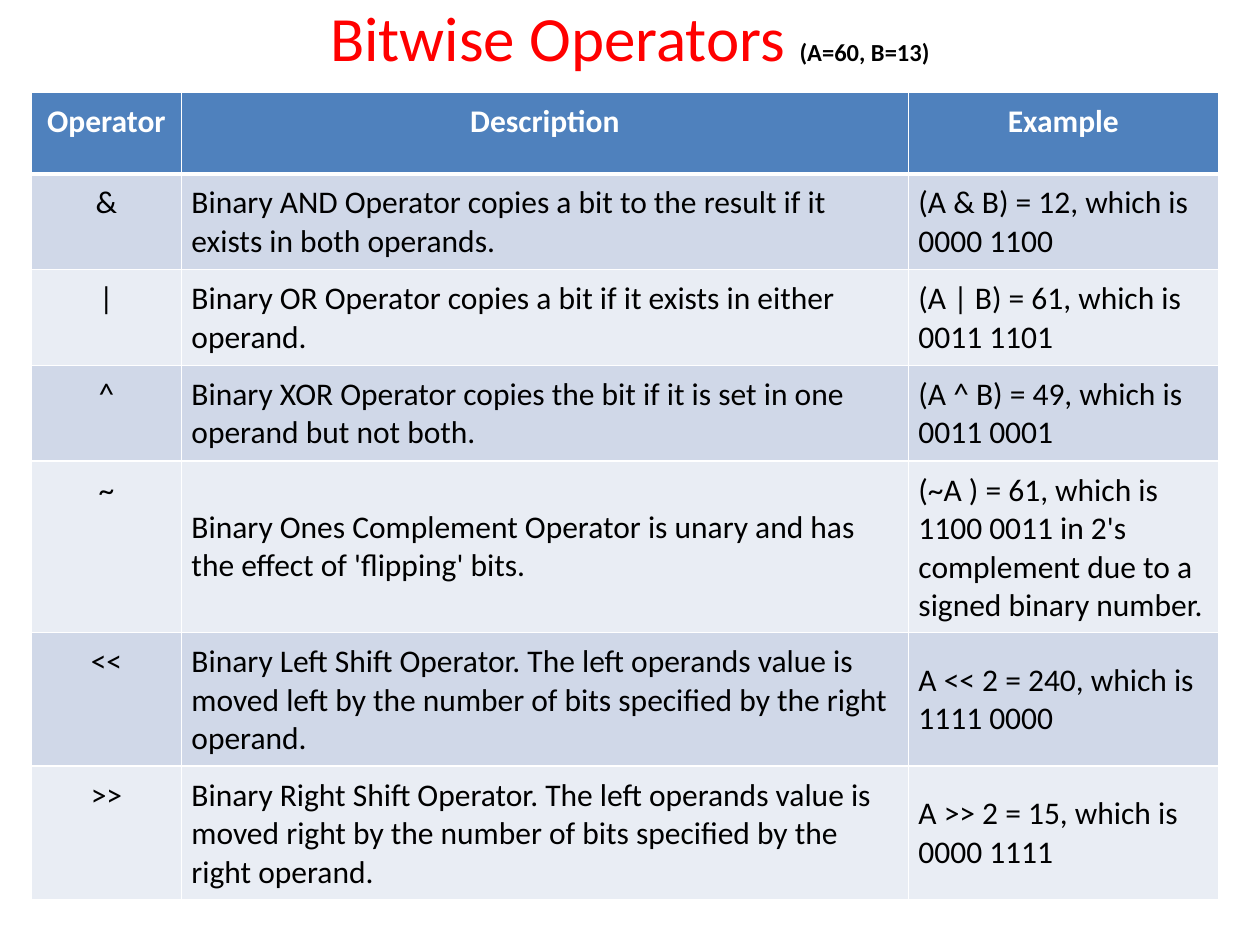
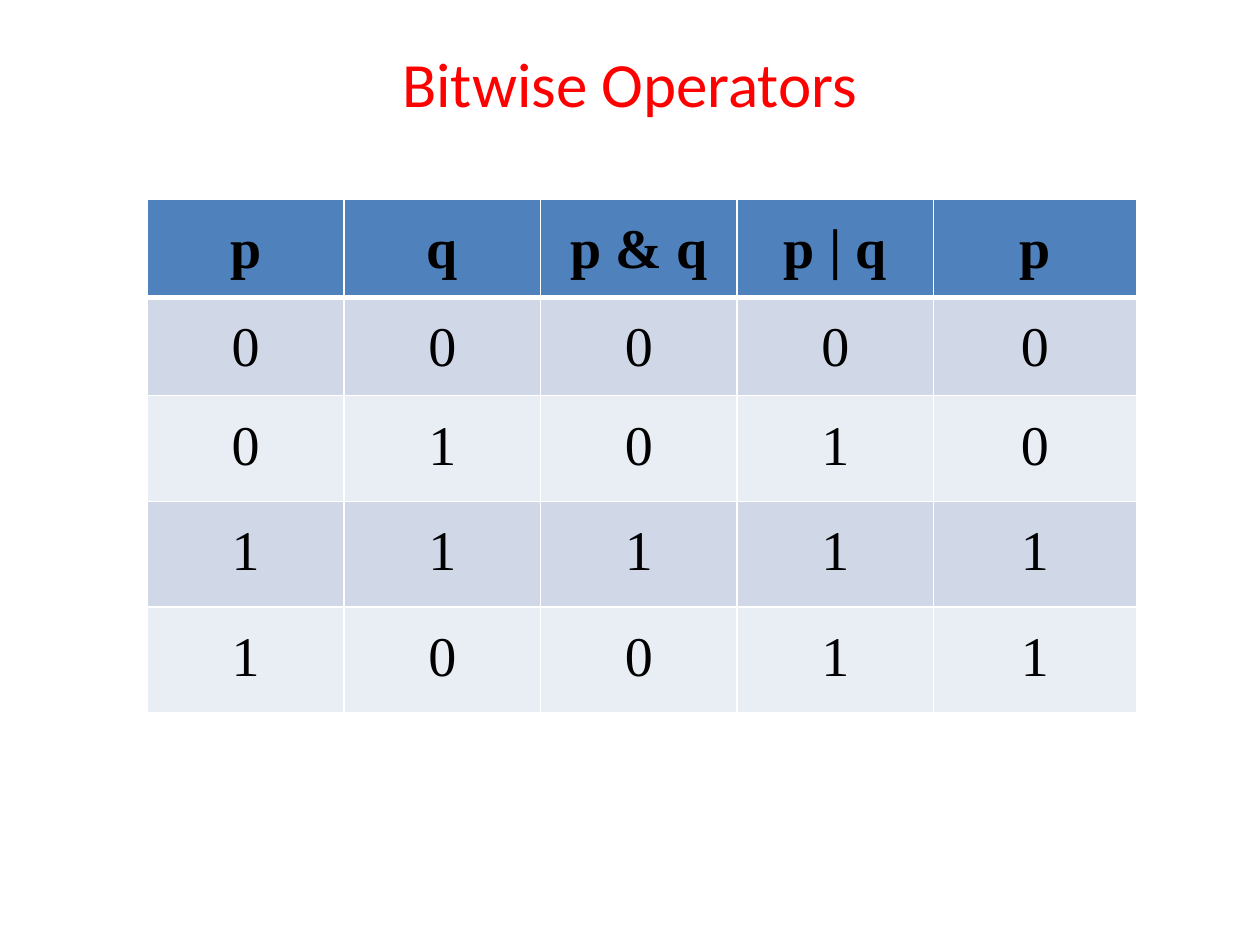
from dataclasses import dataclass

from lxml.etree import SubElement as Sub
from pptx import Presentation
from pptx.dml.color import RGBColor as Rgb
from pptx.enum.text import MSO_ANCHOR as Anchor, PP_ALIGN as Align
from pptx.oxml.ns import qn
from pptx.util import Inches, Pt

HUES = {
    "title": "FF0000",
    "ink": "000000",
    "white": "FFFFFF",
    "head": "4F81BD",
    "odd": "D0D8E8",
    "even": "E9EDF4",
}


@dataclass
class Run:
    """A piece of text in one style."""
    text: str
    size: int
    hue: str
    bold: bool = False
    font: str = "Calibri"


@dataclass
class Grid:
    """A banded table: place, sizes, words and type style."""
    left: float
    top: float
    cols: list[float]
    rows: list[float]
    words: list[tuple[str, ...]]
    size: int
    font: str
    head: str
    space: float
    mid_cols: set[int]
    mids: set[tuple[int, int]]


def add_run(para, run: Run) -> None:
    """Append one styled run to a paragraph."""
    part = para.add_run()
    part.text = run.text
    font = part.font
    font.name, font.size, font.bold = run.font, Pt(run.size), run.bold
    font.color.rgb = Rgb.from_string(HUES[run.hue])


def add_title(slide, high: float, foot: float, runs: list[Run]) -> None:
    """Draw a centred title that stands above a foot margin."""
    box = slide.shapes.add_textbox(Inches(0.5), Inches(0.3), Inches(9), Inches(high))
    frame = box.text_frame
    frame.word_wrap = True
    frame.vertical_anchor = Anchor.BOTTOM
    frame.margin_top, frame.margin_bottom = 0, Inches(foot)
    para = frame.paragraphs[0]
    para.alignment = Align.CENTER
    for run in runs:
        add_run(para, run)


def add_edges(cell, row: int) -> None:
    """Give a cell white borders, with a thick rule below the header."""
    props = cell._tc.get_or_add_tcPr()
    thick = {"lnB": row == 0, "lnT": row == 1}
    for side in ("lnL", "lnR", "lnT", "lnB"):
        width = Pt(3 if thick.get(side) else 1)
        line = Sub(props, qn(f"a:{side}"), w=str(width))
        fill = Sub(line, qn("a:solidFill"))
        Sub(fill, qn("a:srgbClr"), val=HUES["white"])


def add_grid(slide, grid: Grid) -> None:
    """Draw a table with a header row and alternate bands."""
    frame = slide.shapes.add_table(
        len(grid.rows), len(grid.cols), Inches(grid.left), Inches(grid.top),
        Inches(sum(grid.cols)), Inches(sum(grid.rows)))
    table = frame.table
    for col, width in zip(table.columns, grid.cols):
        col.width = Inches(width)
    for row, height in zip(table.rows, grid.rows):
        row.height = Inches(height)
    for r, line in enumerate(grid.words):
        band = "head" if r == 0 else "odd" if r % 2 else "even"
        hue = grid.head if r == 0 else "ink"
        for c, text in enumerate(line):
            cell = table.cell(r, c)
            add_edges(cell, r)
            cell.fill.solid()
            cell.fill.fore_color.rgb = Rgb.from_string(HUES[band])
            cell.margin_left = cell.margin_right = Inches(0.08)
            cell.margin_top = cell.margin_bottom = Inches(0.08)
            cell.vertical_anchor = Anchor.MIDDLE if (r, c) in grid.mids else Anchor.TOP
            para = cell.text_frame.paragraphs[0]
            mid = r == 0 or c in grid.mid_cols
            para.alignment = Align.CENTER if mid else Align.LEFT
            para.line_spacing = grid.space
            add_run(para, Run(text, grid.size, hue, r == 0, grid.font))


USES = Grid(
    left=0.25, top=0.73, cols=[1.19, 5.77, 2.46],
    rows=[0.65] + [0.75] * 3 + [1.34] + [1.05] * 2,
    words=[
        ("Operator", "Description", "Example"),
        ("&", "Binary AND Operator copies a bit to the result if it exists in both operands.",
         "(A & B) = 12, which is 0000 1100"),
        ("|", "Binary OR Operator copies a bit if it exists in either operand.",
         "(A | B) = 61, which is 0011 1101"),
        ("^", "Binary XOR Operator copies the bit if it is set in one operand but not both.",
         "(A ^ B) = 49, which is 0011 0001"),
        ("~", "Binary Ones Complement Operator is unary and has the effect of 'flipping' bits.",
         "(~A ) = 61, which is 1100 0011 in 2's complement due to a signed binary number."),
        ("<<", "Binary Left Shift Operator. The left operands value is moved left "
         "by the number of bits specified by the right operand.",
         "A << 2 = 240, which is 1111 0000"),
        (">>", "Binary Right Shift Operator. The left operands value is moved right "
         "by the number of bits specified by the right operand.",
         "A >> 2 = 15, which is 0000 1111"),
    ],
    size=18, font="Calibri", head="white", space=1.0,
    mid_cols={0}, mids={(4, 1), (5, 2), (6, 2)})

TRUTH = Grid(
    left=1.17, top=1.58, cols=[1.56] * 4 + [1.61], rows=[0.78] * 2 + [0.84] * 3,
    words=[
        ("p", "q", "p & q", "p | q", "p"),
        *(tuple(bits) for bits in ("00000", "01010", "11111", "10011")),
    ],
    size=32, font="Times New Roman", head="ink", space=1.15,
    mid_cols=set(range(5)), mids=set())


def main() -> None:
    """Build both slides and save the deck."""
    deck = Presentation()
    deck.slide_width, deck.slide_height = Inches(10), Inches(7.5)
    blank = deck.slide_layouts[6]
    name = "Bitwise Operators"

    slide = deck.slides.add_slide(blank)
    add_title(slide, 0.53, 0.24, [
        Run(name + " ", 36, "title"), Run("(A=60, B=13)", 14, "ink", True)])
    add_grid(slide, USES)

    slide = deck.slides.add_slide(blank)
    add_title(slide, 1.25, 0.6, [Run(name, 36, "title")])
    add_grid(slide, TRUTH)

    deck.save("out.pptx")


main()
